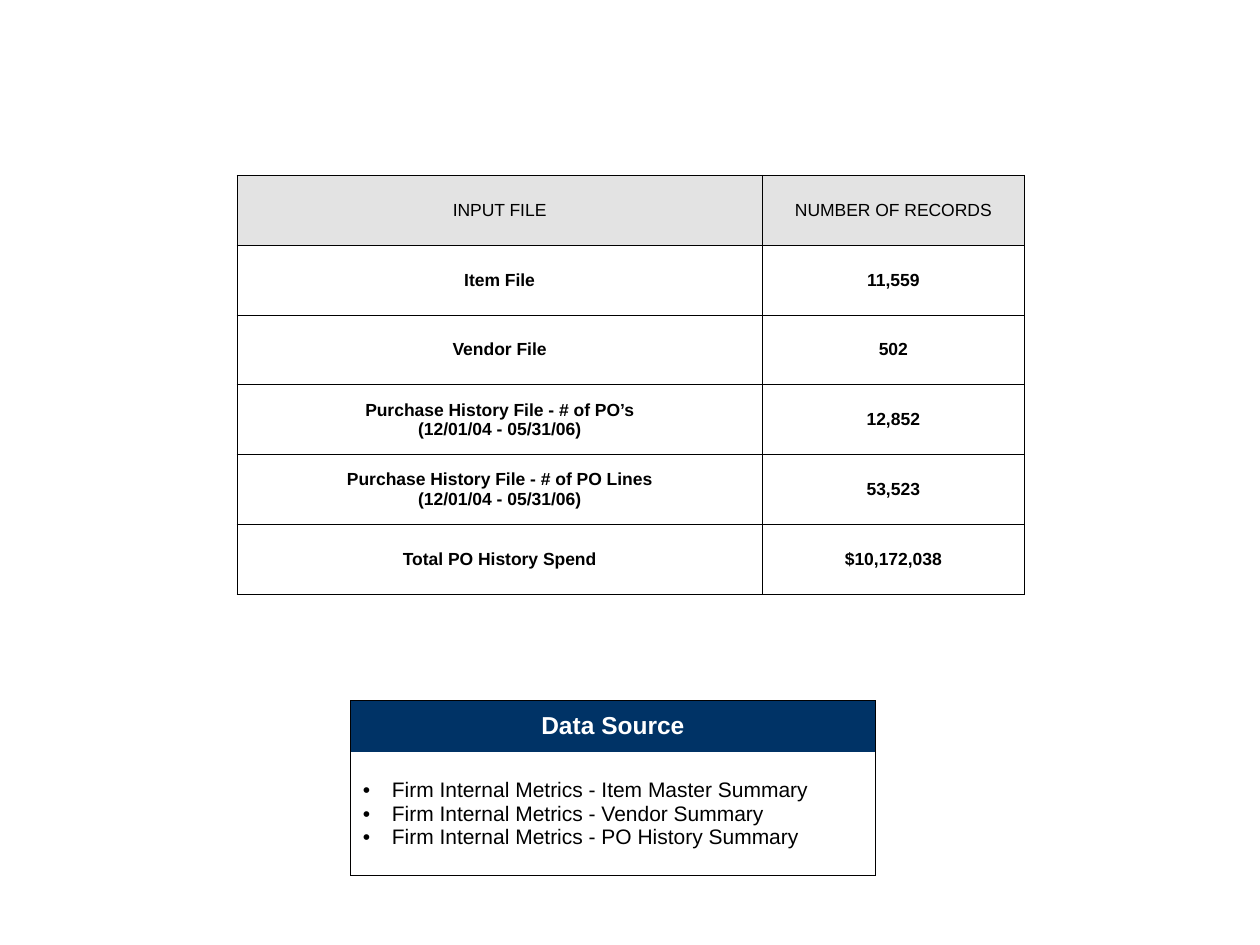
from pptx import Presentation
from pptx.dml.color import RGBColor
from pptx.enum.text import MSO_ANCHOR, PP_ALIGN
from pptx.oxml.ns import qn
from pptx.util import Inches, Pt
from lxml.etree import SubElement

COLORS = {"black": "000000", "edge": "010000", "white": "FFFFFF",
          "header": "E3E3E3", "navy": "003366"}
FONT = "Arial"

RECORDS = [
    ("INPUT FILE", "NUMBER OF RECORDS"),
    ("Item File", "11,559"),
    ("Vendor File", "502"),
    ("Purchase History File - # of PO’s\n(12/01/04 - 05/31/06)", "12,852"),
    ("Purchase History File - # of PO Lines\n(12/01/04 - 05/31/06)", "53,523"),
    ("Total PO History Spend", "$10,172,038"),
]
SOURCE_TITLE = "Data Source"
SOURCES = [
    "Firm Internal Metrics - Item Master Summary",
    "Firm Internal Metrics - Vendor Summary",
    "Firm Internal Metrics - PO History Summary",
]


def add_plain_table(slide, left, top, col_widths, row_heights):
    """Add a table without the banding and header look of the default style."""
    table = slide.shapes.add_table(
        len(row_heights), len(col_widths), Inches(left), Inches(top),
        Inches(sum(col_widths)), Inches(sum(row_heights))).table
    table.first_row = table.horz_banding = False
    for column, width in zip(table.columns, col_widths):
        column.width = Inches(width)
    for row, height in zip(table.rows, row_heights):
        row.height = Inches(height)
    return table


def set_borders(cell, sides, color, width):
    """Draw the given sides (of L, R, T, B) and hide the others."""
    tc_pr = cell._tc.get_or_add_tcPr()
    for index, side in enumerate("LRTB"):
        ln = tc_pr.makeelement(qn(f"a:ln{side}"), {"w": str(Pt(width))})
        tc_pr.insert(index, ln)
        if side in sides:
            fill = SubElement(ln, qn("a:solidFill"))
            SubElement(fill, qn("a:srgbClr"), val=COLORS[color])
        else:
            SubElement(ln, qn("a:noFill"))


def fill_cell(cell, text, size, color="black", bold=False, fill=None,
              align=PP_ALIGN.CENTER):
    cell.text_frame.text = text
    cell.vertical_anchor = MSO_ANCHOR.MIDDLE
    if fill:
        cell.fill.solid()
        cell.fill.fore_color.rgb = RGBColor.from_string(COLORS[fill])
    else:
        cell.fill.background()
    for p in cell.text_frame.paragraphs:
        p.alignment = align
        for r in p.runs:
            r.font.name = FONT
            r.font.size = Pt(size)
            r.font.bold = bold
            r.font.color.rgb = RGBColor.from_string(COLORS[color])


def add_bullets(tf, indent):
    for p in tf.paragraphs:
        p_pr = p._p.get_or_add_pPr()
        p_pr.set("marL", str(Inches(indent)))
        p_pr.set("indent", str(-Inches(indent)))
        bullet_color = SubElement(p_pr, qn("a:buClr"))
        SubElement(bullet_color, qn("a:srgbClr"), val=COLORS["black"])
        SubElement(p_pr, qn("a:buFont"), typeface=FONT)
        SubElement(p_pr, qn("a:buChar"), char="•")


def add_records(slide):
    row_heights = [3.33 / len(RECORDS)] * len(RECORDS)
    table = add_plain_table(slide, 1.88, 1.39, [4.17, 2.08], row_heights)
    for i, record in enumerate(RECORDS):
        for j, text in enumerate(record):
            cell = table.cell(i, j)
            fill_cell(cell, text, 10, bold=i > 0,
                      fill="header" if i == 0 else None)
            set_borders(cell, "LRTB", "black", 0.45)


def add_sources(slide):
    table = add_plain_table(slide, 2.78, 5.56, [4.17], [0.41, 0.98])
    title, body = table.cell(0, 0), table.cell(1, 0)
    fill_cell(title, SOURCE_TITLE, 14, "white", bold=True, fill="navy")
    set_borders(title, "LRT", "edge", 0.34)
    fill_cell(body, "\n".join(SOURCES), 12, align=PP_ALIGN.LEFT)
    add_bullets(body.text_frame, 0.23)
    set_borders(body, "LRB", "edge", 0.34)


def main():
    prs = Presentation()
    prs.slide_width, prs.slide_height = Inches(10), Inches(7.5)
    slide = prs.slides.add_slide(prs.slide_layouts[6])
    add_records(slide)
    add_sources(slide)
    prs.save("out.pptx")


if __name__ == "__main__":
    main()
